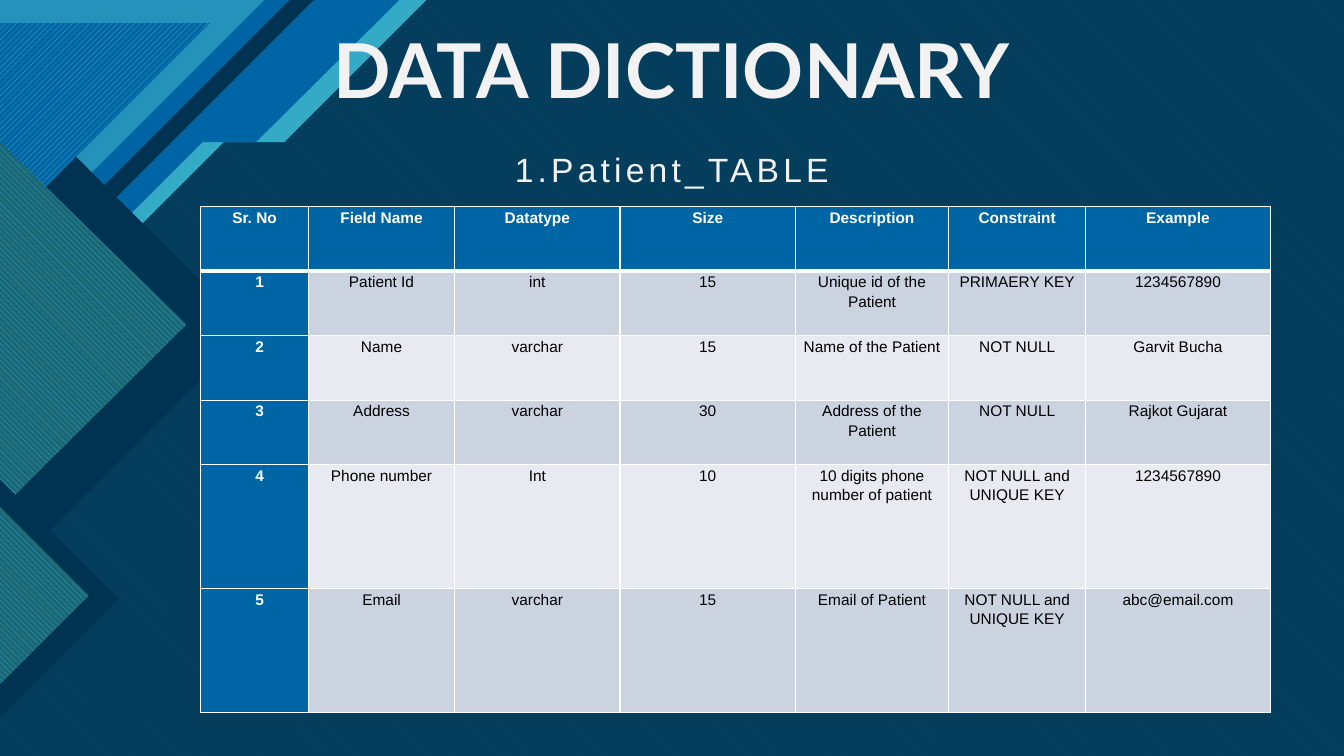
from lxml.etree import SubElement
from pptx import Presentation
from pptx.dml.color import RGBColor
from pptx.enum.dml import MSO_PATTERN
from pptx.enum.text import MSO_ANCHOR, PP_ALIGN
from pptx.oxml import parse_xml
from pptx.oxml.ns import nsdecls, qn
from pptx.util import Inches, Pt

WIDTH, HEIGHT = 13.33, 7.5

WHITE = RGBColor(0xFF, 0xFF, 0xFF)
BLACK = RGBColor(0x00, 0x00, 0x00)
OFF_WHITE = RGBColor(0xF2, 0xF2, 0xF2)
BLUE = RGBColor(0x00, 0x65, 0xA4)
SKY = RGBColor(0x2F, 0xAF, 0xFF)
NAVY = RGBColor(0x00, 0x33, 0x52)
DEEP = RGBColor(0x05, 0x3E, 0x5C)
DEEP_LINE = RGBColor(0x07, 0x42, 0x60)
TEAL = RGBColor(0x35, 0xAA, 0xC7)
MID_TEAL = RGBColor(0x24, 0x92, 0xBB)
AQUA = RGBColor(0x47, 0xC3, 0xD3)
GREEN = RGBColor(0x1B, 0x68, 0x72)
BAND_DARK = RGBColor(0xCC, 0xD3, 0xE0)
BAND_LIGHT = RGBColor(0xE7, 0xEA, 0xF0)

UPWARD = MSO_PATTERN.WIDE_UPWARD_DIAGONAL
DOWNWARD = MSO_PATTERN.WIDE_DOWNWARD_DIAGONAL

COLUMN_WIDTHS = [1.07, 1.45, 1.64, 1.74, 1.52, 1.36, 1.83]
ROW_HEIGHTS = [0.64] * 4 + [1.23] * 2
FIELDS = [
    ["Sr. No", "Field Name", "Datatype", "Size", "Description", "Constraint", "Example"],
    ["1", "Patient Id", "int", "15", "Unique id of the Patient", "PRIMAERY KEY", "1234567890"],
    ["2", "Name", "varchar", "15", "Name of the Patient", "NOT NULL", "Garvit Bucha"],
    ["3", "Address", "varchar", "30", "Address of the Patient", "NOT NULL", "Rajkot Gujarat"],
    ["4", "Phone number", "Int", "10", "10 digits phone number of patient",
     "NOT NULL and UNIQUE KEY", "1234567890"],
    ["5", "Email", "varchar", "15", "Email of Patient", "NOT NULL and UNIQUE KEY",
     "abc@email.com"],
]


def apply(target, values):
    for name, value in values.items():
        setattr(target, name, value)


def paint(fill, color, pattern=None, back=None):
    if pattern is None:
        fill.solid()
        fill.fore_color.rgb = color
    else:
        fill.patterned()
        apply(fill, {"pattern": pattern})
        fill.fore_color.rgb = color
        fill.back_color.rgb = back


def add_polygon(slide, box, points, *paint_values):
    left, top = box[:2]
    corners = [(Inches(left + x), Inches(top + y)) for x, y in points]
    builder = slide.shapes.build_freeform(*corners[0])
    builder.add_line_segments(corners[1:], close=True)
    shape = builder.convert_to_shape()
    shape.shadow.inherit = False
    shape.line.fill.background()
    paint(shape.fill, *paint_values)


def corner(leg, top=0):
    """Right triangle in the top left corner."""
    return [(0, top), (leg, top), (0, top + leg)]


def arrow(tip, middle):
    """Half diamond on the left edge, pointing right."""
    return [(0, middle - tip), (tip, middle), (0, middle + tip)]


def stripe(reach, step, inner, low):
    """Diagonal stripe with a notch, filled back to the corner."""
    return [(0, 0), (reach, 0), (step, 1.41), (inner, 1.41), (0, low)]


def add_backdrop(slide, box):
    _, _, width, height = box
    page = [(0, 0), (width, 0), (width, height), (0, height)]
    add_polygon(slide, box, page, DEEP_LINE, DOWNWARD, DEEP)
    # Diagonal stripes, widest first
    add_polygon(slide, box, stripe(4.23, 2.82, 2.22, 3.63), TEAL)
    add_polygon(slide, box, stripe(3.96, 2.54, 2.01, 3.42), BLUE)
    for leg, color in [(3.11, NAVY), (2.87, BLUE), (2.62, MID_TEAL)]:
        add_polygon(slide, box, corner(leg), color)
    # Large and small arrows on the left edge
    add_polygon(slide, box, arrow(2.48, 3.28), NAVY)
    add_polygon(slide, box, corner(2.08, 0.23), AQUA, UPWARD, BLUE)
    clipped_arrow = [(0, 1.41), (1.85, 3.22), (0.15, 4.91), (0, 4.76)]
    add_polygon(slide, box, clipped_arrow, SKY, DOWNWARD, GREEN)
    add_polygon(slide, box, arrow(1.18, 5.94), NAVY)
    add_polygon(slide, box, arrow(0.88, 5.91), SKY, DOWNWARD, GREEN)


def write(text_frame, text, paragraph_values, font_values, color):
    text_frame.text = text
    paragraph = text_frame.paragraphs[0]
    apply(paragraph, {"alignment": PP_ALIGN.CENTER, **paragraph_values})
    run = paragraph.runs[0]
    apply(run.font, font_values)
    run.font.color.rgb = color
    return paragraph


def place(shape, box):
    names = ("left", "top", "width", "height")
    apply(shape, dict(zip(names, map(Inches, box))))


def add_headings(slide, box):
    left, top, width, height = box
    # Title, raised above the backdrop
    title = slide.shapes.title
    place(title, (left, top, width, height * 0.56))
    slide.shapes._spTree.append(title._element)
    apply(title.text_frame, {"vertical_anchor": MSO_ANCHOR.BOTTOM, "word_wrap": True})
    write(title.text_frame, "DATA DICTIONARY", {"line_spacing": 0.9},
          {"size": Pt(54), "name": "Lato", "bold": True}, OFF_WHITE)
    # Name of the table
    subtitle = slide.shapes.add_textbox(0, 0, 0, 0)
    place(subtitle, (left, top + height * 0.69, width, height * 0.31))
    subtitle.text_frame.word_wrap = True
    paragraph = write(subtitle.text_frame, "1.Patient_TABLE", {"line_spacing": 0.9},
                      {"size": Pt(24), "name": "Arial"}, OFF_WHITE)
    paragraph.runs[0]._r.get_or_add_rPr().set("spc", "300")


def add_borders(cell, bottom_points):
    properties = cell._tc.get_or_add_tcPr()
    sides = {"lnL": 1, "lnR": 1, "lnT": 1, "lnB": bottom_points}
    for index, (side, points) in enumerate(sides.items()):
        line = parse_xml(f'<a:{side} {nsdecls("a")} w="{Pt(points)}"/>')
        fill = SubElement(line, qn("a:solidFill"))
        SubElement(fill, qn("a:srgbClr")).set("val", str(WHITE))
        properties.insert(index, line)


def add_field_table(slide, box):
    frame = slide.shapes.add_table(len(FIELDS), len(COLUMN_WIDTHS), *map(Inches, box))
    table = frame.table
    for column, width in zip(table.columns, COLUMN_WIDTHS):
        column.width = Inches(width)
    for row, height in zip(table.rows, ROW_HEIGHTS):
        row.height = Inches(height)
    for row_index, texts in enumerate(FIELDS):
        band = BAND_DARK if row_index % 2 else BAND_LIGHT
        for column_index, text in enumerate(texts):
            heading = row_index == 0 or column_index == 0
            cell = table.cell(row_index, column_index)
            apply(cell, {"margin_left": Inches(0.07), "margin_right": Inches(0.07),
                         "margin_top": 0, "margin_bottom": 0})
            paragraph = write(cell.text_frame, text,
                              {"line_spacing": 1.15, "space_after": Pt(10)},
                              {"size": Pt(11), "name": "Arial", "bold": heading},
                              WHITE if heading else BLACK)
            if column_index == 0 and row_index > 0:
                paragraph._p.get_or_add_pPr().set("marL", str(Inches(0.1)))
            paint(cell.fill, BLUE if heading else band)
            add_borders(cell, 3 if row_index == 0 else 1)


def main():
    presentation = Presentation()
    apply(presentation, {"slide_width": Inches(WIDTH), "slide_height": Inches(HEIGHT)})
    slide = presentation.slides.add_slide(presentation.slide_layouts[5])
    add_backdrop(slide, (0, 0, WIDTH, HEIGHT))
    add_headings(slide, (0, 0, WIDTH, 2.13))
    add_field_table(slide, (1.99, 2.05, sum(COLUMN_WIDTHS), sum(ROW_HEIGHTS)))
    presentation.save("out.pptx")


if __name__ == "__main__":
    main()
